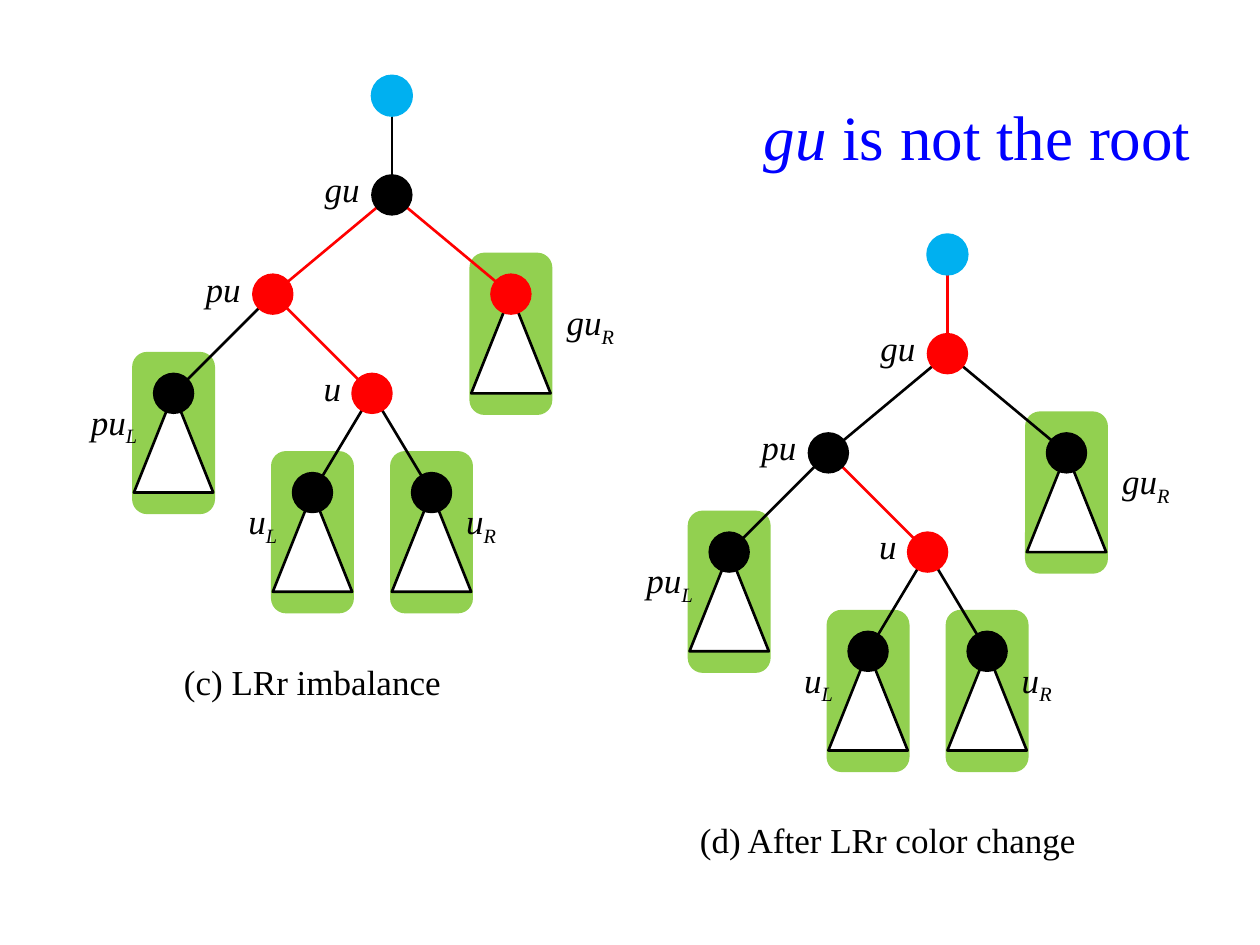
import pptx
import pptx.util
import pptx.dml.color
import pptx.enum.shapes
import pptx.enum.text
import pptx.oxml.ns
import lxml.etree

Cm = pptx.util.Cm
Pt = pptx.util.Pt
KIND = pptx.enum.shapes.MSO_SHAPE
ANCHOR = pptx.enum.text.MSO_ANCHOR

BLACK, RED, BLUE, WHITE = "000000", "FF0000", "00B0F0", "FFFFFF"
GREEN = "92D050"
SIZE = 0.8  # node diameter
WIDE = 1.6  # subtree width
STEP = 2    # height of a tree level

# name: (parent, x and y from gu)
NODES = {
    "top": (None, 0, -STEP),
    "gu": ("top", 0, 0),
    "pu": ("gu", -2.4, STEP),
    "guR": ("gu", 2.4, STEP),
    "u": ("pu", -0.4, 2 * STEP),
    "puL": ("pu", -4.4, 2 * STEP),
    "uL": ("u", -1.6, 3 * STEP),
    "uR": ("u", 0.8, 3 * STEP),
}
SUBTREES = ["uR", "guR", "puL", "uL"]

# name: (text, subscript, left and top from the node, width)
LABELS = {
    "gu": ("gu", "", -1.6, -0.4, 1.2),
    "pu": ("pu", "", -1.6, -0.4, 1.2),
    "u": ("u", "", -1.2, -0.4, 0.8),
    "guR": ("gu", "R", 0.8, 0.4, 1.6),
    "puL": ("pu", "L", -2, 0.4, 1.6),
    "uL": ("u", "L", -1.6, 0.4, 1.2),
    "uR": ("u", "R", 0.4, 0.4, 1.2),
}


def paint(target, color):
    target.rgb = pptx.dml.color.RGBColor.from_string(color)


def add_run(para, text, size=20, color=BLACK, italic=False, sub=False):
    run = para.add_run()
    run.text = text
    font = run.font
    font.name = "Times New Roman"
    font.size = Pt(size)
    font.italic = italic
    paint(font.color, color)
    if sub:
        run._r.get_or_add_rPr().set("baseline", "-25000")


def add_box(slide, x, y, wide, high, anchor):
    """Add an empty centred text box and return its paragraph."""
    frame = slide.shapes.add_textbox(Cm(x), Cm(y), Cm(wide), Cm(high)).text_frame
    frame.word_wrap = False
    frame.vertical_anchor = anchor
    frame.margin_left = frame.margin_right = frame.margin_top = 0
    frame.margin_bottom = Cm(0.1) if anchor == ANCHOR.BOTTOM else 0
    para = frame.paragraphs[0]
    para.alignment = pptx.enum.text.PP_ALIGN.CENTER
    return para


def add_shape(slide, kind, x, y, wide, high, fill, line, weight):
    """Add a shape whose top edge is centred on x."""
    shape = slide.shapes.add_shape(
        kind, Cm(x - wide / 2), Cm(y), Cm(wide), Cm(high))
    shape.shadow.inherit = False
    shape.fill.solid()
    paint(shape.fill.fore_color, fill)
    paint(shape.line.color, line)
    shape.line.width = Pt(weight)


def add_edge(slide, start, end, color):
    edge = slide.shapes.add_connector(
        pptx.enum.shapes.MSO_CONNECTOR.STRAIGHT, *map(Cm, start + end))
    paint(edge.line.color, color)
    edge.line.width = Pt(1.5)
    lxml.etree.SubElement(
        edge._element.spPr, pptx.oxml.ns.qn("a:effectLst"))


def add_tree(slide, x, y, reds):
    """Draw the tree with gu at x, y; an edge has its child's colour."""
    spots = {name: (x + dx, y + dy) for name, (_, dx, dy) in NODES.items()}
    colors = {name: RED if name in reds else BLACK for name in NODES}
    colors["top"] = BLUE

    for name in SUBTREES:
        left, top = spots[name]
        add_shape(slide, KIND.FLOWCHART_ALTERNATE_PROCESS,
                  left, top - SIZE, WIDE, 2 * WIDE, GREEN, GREEN, 2)
    for name in SUBTREES:
        add_shape(slide, KIND.ISOSCELES_TRIANGLE,
                  *spots[name], WIDE, STEP, WHITE, BLACK, 1.5)
    for name, (parent, _, _) in NODES.items():
        if parent:
            add_edge(slide, spots[parent], spots[name], colors[name])
    for name, (left, top) in spots.items():
        add_shape(slide, KIND.OVAL, left, top - SIZE / 2, SIZE, SIZE,
                  colors[name], colors[name], 1.5 if name == "top" else 1)
    for name, (text, sub, dx, dy, wide) in LABELS.items():
        left, top = spots[name]
        para = add_box(slide, left + dx, top + dy, wide, 0.8, ANCHOR.BOTTOM)
        add_run(para, text, italic=True)
        if sub:
            add_run(para, sub, italic=True, sub=True)


def add_title(slide):
    title = slide.shapes.title
    title.left, title.top = Cm(14.7), Cm(1.53)
    title.width, title.height = Cm(10), Cm(2.4)
    title.text_frame.vertical_anchor = ANCHOR.MIDDLE
    para = title.text_frame.paragraphs[0]
    para.alignment = pptx.enum.text.PP_ALIGN.CENTER
    add_run(para, "gu", size=36, color="0000FF", italic=True)
    add_run(para, " is not the root", size=36, color="0000FF")


def main():
    deck = pptx.Presentation()
    deck.slide_width, deck.slide_height = Cm(25.4), Cm(19.05)
    slide = deck.slides.add_slide(deck.slide_layouts[5])
    add_title(slide)
    trees = [
        (7.9, 3.93, ["pu", "u", "guR"], "(c) LRr imbalance", -4.8, 6.4),
        (19.1, 7.13, ["gu", "u"], "(d) After LRr color change", -5.6, 8.8),
    ]
    for x, y, reds, text, shift, wide in trees:
        add_tree(slide, x, y, reds)
        para = add_box(slide, x + shift, y + 9.2, wide, 1.2, ANCHOR.MIDDLE)
        add_run(para, text)
    deck.save("out.pptx")


if __name__ == "__main__":
    main()
